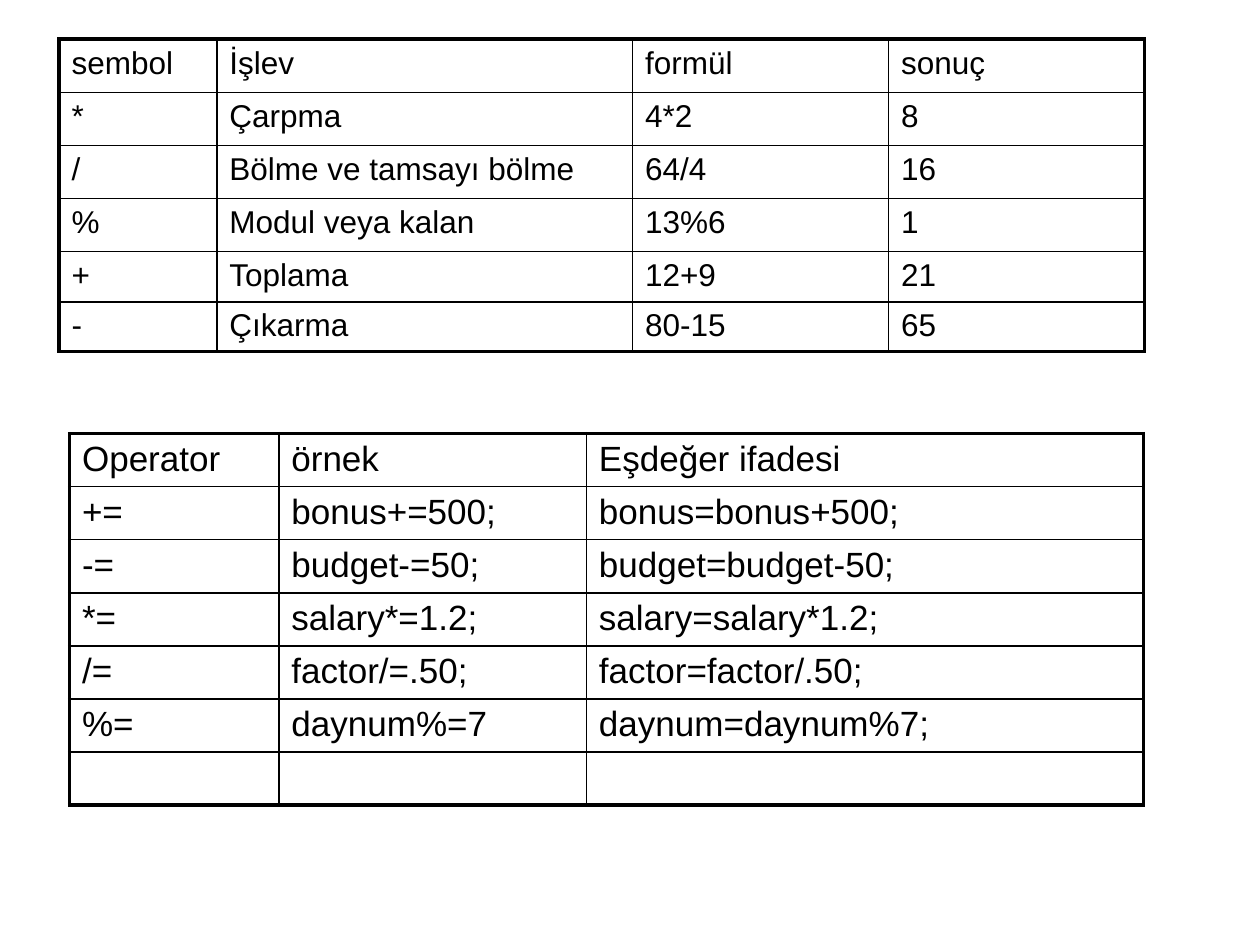
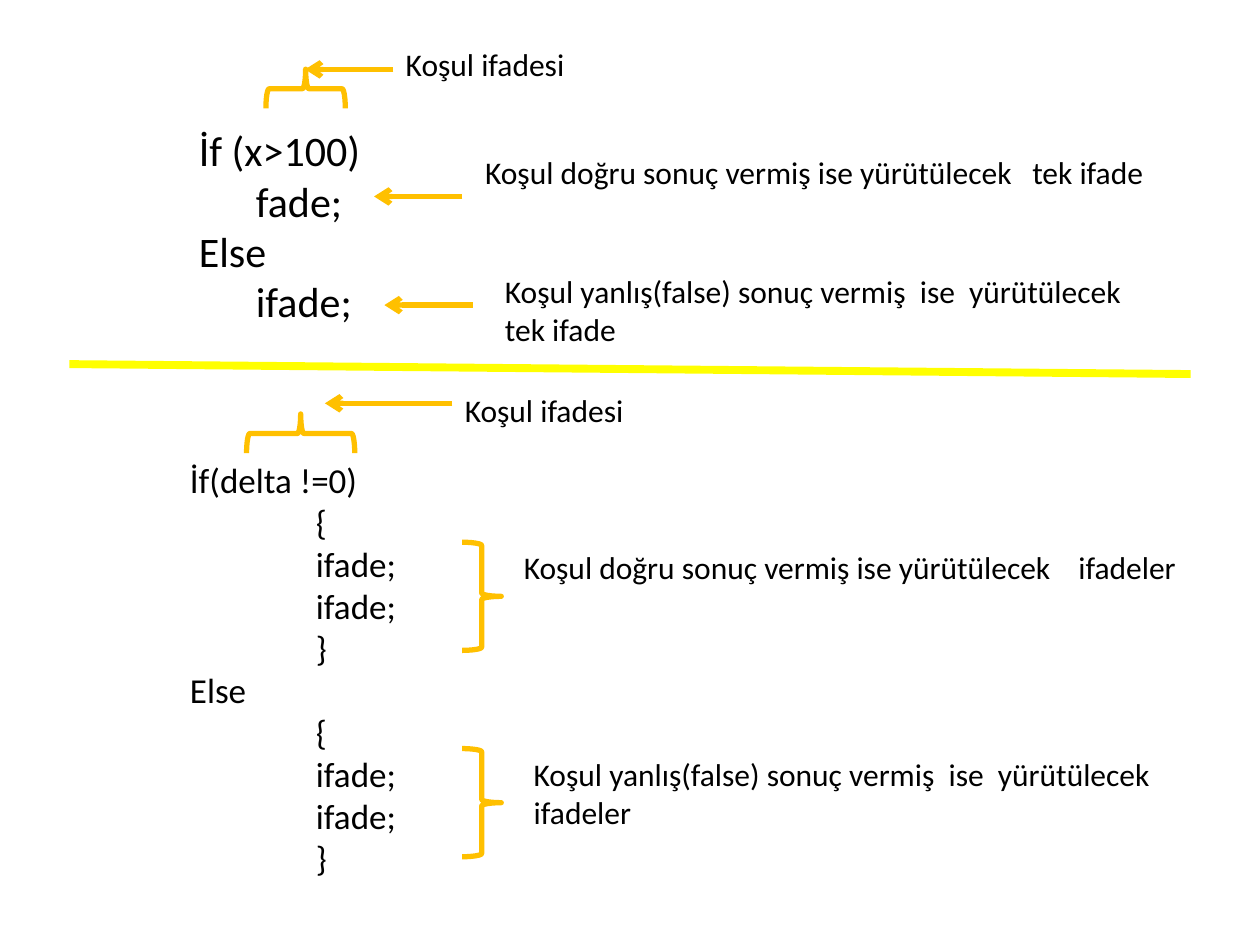
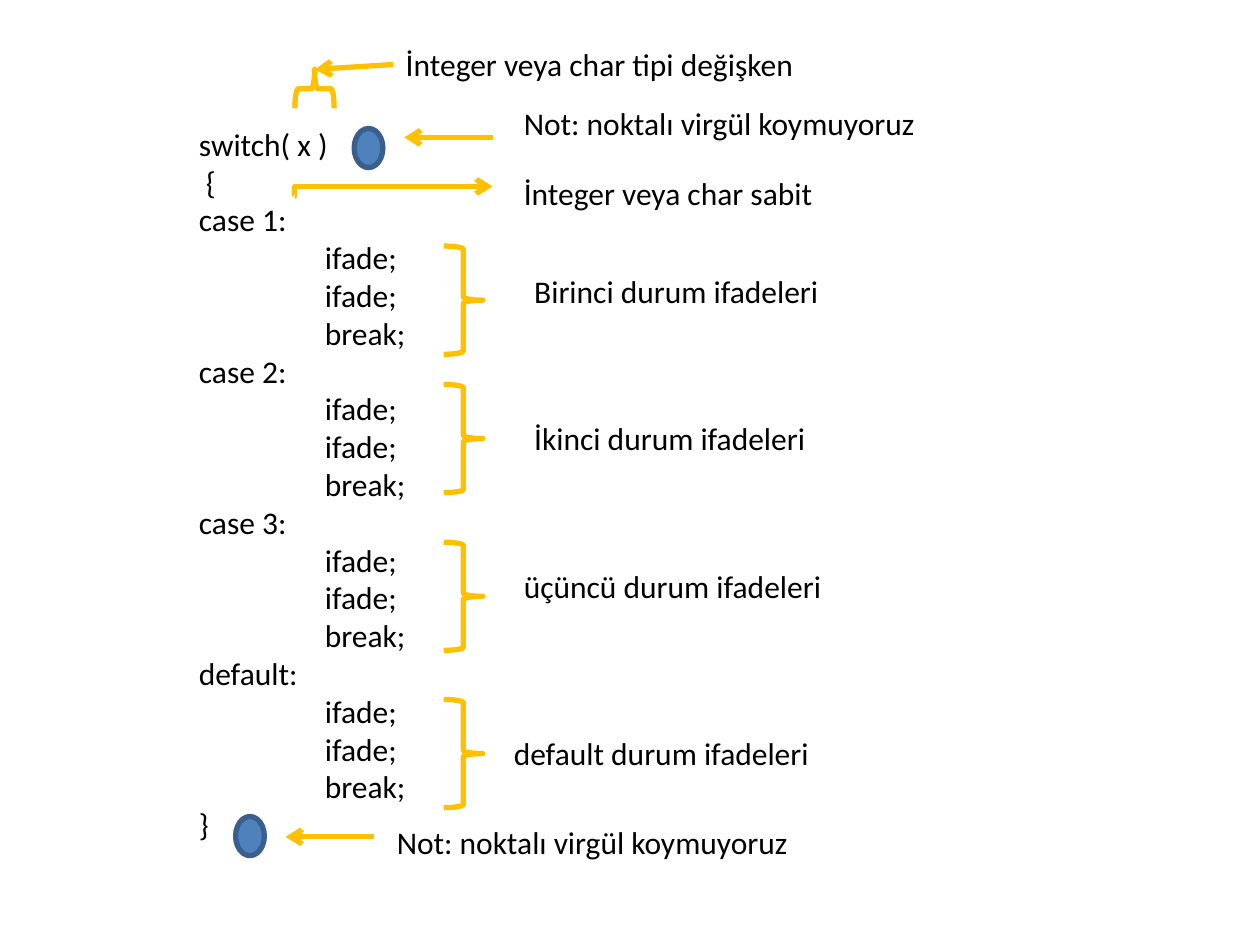
from lxml import etree
from pptx import Presentation
from pptx.dml.color import RGBColor
from pptx.enum.shapes import MSO_CONNECTOR, MSO_SHAPE
from pptx.oxml.ns import qn
from pptx.util import Cm, Pt

STRAIGHT, ELBOW = MSO_CONNECTOR.STRAIGHT, MSO_CONNECTOR.ELBOW
BRACE, OVAL = MSO_SHAPE.LEFT_BRACE, MSO_SHAPE.OVAL

BLACK, WHITE = "000000", "FFFFFF"
ORANGE, YELLOW = "FFC000", "FFFF00"
BLUE, DARK_BLUE = "4F81BD", "3A5F8C"
TABLE_FONT, TEXT_FONT = "Arial", "Calibri"
THIN, THICK = 1, 2.25
BRACE_DEPTH = 0.79
BRACE_LENGTH = 2.18
ARROW_LENGTH = 1.78
CODE_TAB = 2.54
FACING_UP, FACING_RIGHT = 90, 180

ARITHMETIC = [
    ["sembol", "İşlev", "formül", "sonuç"],
    ["*", "Çarpma", "4*2", "8"],
    ["/", "Bölme ve tamsayı bölme", "64/4", "16"],
    ["%", "Modul veya kalan", "13%6", "1"],
    ["+", "Toplama", "12+9", "21"],
    ["-", "Çıkarma", "80-15", "65"],
]
ASSIGNMENT = [
    ["Operator", "örnek", "Eşdeğer ifadesi"],
    ["+=", "bonus+=500;", "bonus=bonus+500;"],
    ["-=", "budget-=50;", "budget=budget-50;"],
    ["*=", "salary*=1.2;", "salary=salary*1.2;"],
    ["/=", "factor/=.50;", "factor=factor/.50;"],
    ["%=", "daynum%=7", "daynum=daynum%7;"],
    ["", "", ""],
]
SINGLE_IF = ["İf (x>100)", "      fade;", "Else", "      ifade;"]
BLOCK = ["\t{", "\tifade;", "\tifade;", "\t}"]
BLOCK_IF = ["İf(delta !=0)", *BLOCK, "Else", *BLOCK]
CASE_BODY = ["\tifade;", "\tifade;", "\tbreak;"]
SWITCH = ["switch( x )", " {"]
for heading in ("case 1:", "case 2:", "case 3:", "default:"):
    SWITCH += [heading, *CASE_BODY]
SWITCH.append("}")


def color(value):
    """Turn a hex string into a colour."""
    return RGBColor.from_string(value)


def write(para, text, size, font):
    """Add one run of black text to a paragraph."""
    span = para.add_run()
    span.text = text
    span.font.size = Pt(size)
    span.font.name = font
    span.font.color.rgb = color(BLACK)


def add_text(page, left, top, width, lines, size=18, tab=CODE_TAB):
    """Place a wrapped text box with one paragraph for each line."""
    box = page.shapes.add_textbox(Cm(left), Cm(top), Cm(width), Cm(1.02))
    frame = box.text_frame
    frame.word_wrap = True
    for index, line in enumerate(lines):
        para = frame.add_paragraph() if index else frame.paragraphs[0]
        if "\t" in line:
            stops = etree.SubElement(para._p.get_or_add_pPr(), qn("a:tabLst"))
            etree.SubElement(stops, qn("a:tab"), pos=str(Cm(tab)), algn="l")
        write(para, line, size, TEXT_FONT)


def add_line(page, start, end, tint=ORANGE, weight=3, arrow=True, kind=STRAIGHT):
    """Draw a connector between two points, with an arrowhead if wanted."""
    line = page.shapes.add_connector(kind, *map(Cm, (*start, *end)))
    line.line.color.rgb = color(tint)
    line.line.width = Pt(weight)
    if arrow:
        etree.SubElement(line.line._get_or_add_ln(), qn("a:tailEnd"), type="arrow")
    etree.SubElement(line._element.spPr, qn("a:effectLst"))
    return line


def add_pointer(page, left, top, length=ARROW_LENGTH):
    """Draw a level arrow that starts at a point and runs to the left."""
    add_line(page, (left, top), (left - length, top))


def add_brace(page, center_x, center_y, rotation, length=BRACE_LENGTH):
    """Draw a turned curly brace around its centre."""
    brace = page.shapes.add_shape(
        BRACE, Cm(center_x - BRACE_DEPTH / 2), Cm(center_y - length / 2),
        Cm(BRACE_DEPTH), Cm(length))
    brace.rotation = rotation
    brace.shadow.inherit = False
    brace.fill.background()
    brace.line.color.rgb = color(ORANGE)
    brace.line.width = Pt(3)


def add_marker(page, left, top):
    """Draw the blue oval that marks a missing semicolon."""
    oval = page.shapes.add_shape(OVAL, Cm(left), Cm(top), Cm(0.58), Cm(0.79))
    oval.shadow.inherit = False
    oval.fill.solid()
    oval.fill.fore_color.rgb = color(BLUE)
    oval.line.color.rgb = color(DARK_BLUE)
    oval.line.width = Pt(3)


def set_borders(cell, weights):
    """Give the four sides of a cell black lines of the given weights."""
    properties = cell._tc.get_or_add_tcPr()
    for index, (side, weight) in enumerate(weights.items()):
        line = etree.Element(qn(f"a:ln{side}"), w=str(Pt(weight)))
        fill = etree.SubElement(line, qn("a:solidFill"))
        etree.SubElement(fill, qn("a:srgbClr"), val=BLACK)
        properties.insert(index, line)


def add_grid(page, left, top, widths, heights, rows, size):
    """Build a table with thin inner lines and a thick frame."""
    grid = page.shapes.add_table(
        len(rows), len(widths), Cm(left), Cm(top), Cm(sum(widths)), Cm(sum(heights))).table
    grid.first_row = grid.horz_banding = False
    for column, width in zip(grid.columns, widths):
        column.width = Cm(width)
    for y, (row, height) in enumerate(zip(rows, heights)):
        grid.rows[y].height = Cm(height)
        for x, text in enumerate(row):
            cell = grid.cell(y, x)
            cell.fill.solid()
            cell.fill.fore_color.rgb = color(WHITE)
            outer = {"L": x == 0, "R": x == len(row) - 1,
                     "T": y == 0, "B": y == len(rows) - 1}
            set_borders(cell, {side: THICK if edge else THIN for side, edge in outer.items()})
            if text:
                write(cell.text_frame.paragraphs[0], text, size, TABLE_FONT)


def add_single_if(page, left, top):
    """Explain an if statement with single statements."""
    add_text(page, left, top + 1.6, 10.92, SINGLE_IF, 24)
    add_text(page, left + 4.17, top, 9.73, ["Koşul ifadesi"])
    add_brace(page, left + 2.4, top + 1, FACING_UP, 1.6)
    add_text(page, left + 5.77, top + 2.18, 14.3,
             ["Koşul doğru sonuç vermiş ise yürütülecek\ttek ifade"], tab=11.03)
    add_text(page, left + 6.17, top + 4.57, 13.28,
             ["Koşul yanlış(false) sonuç vermiş  ise  yürütülecek tek ifade"])
    for x, y in [(4.17, 0.61), (5.56, 3.17), (5.77, 5.36)]:
        add_pointer(page, left + x, top + y)


def add_block_if(page, left, top):
    """Explain an if statement with blocks of statements."""
    add_text(page, left, top + 1.37, 7.54, BLOCK_IF, 20)
    add_text(page, left + 5.54, top, 9.73, ["Koşul ifadesi"])
    add_pointer(page, left + 5.54, top + 0.38, 2.57)
    add_brace(page, left + 2.48, top + 0.99, FACING_UP)
    for y in (4.27, 8.43):
        add_brace(page, left + 6.13, top + y, FACING_RIGHT)
    add_text(page, left + 6.73, top + 3.18, 14.3,
             ["Koşul doğru sonuç vermiş ise yürütülecek\tifadeler"], tab=11.18)
    add_text(page, left + 6.93, top + 7.34, 13.28,
             ["Koşul yanlış(false) sonuç vermiş  ise  yürütülecek ifadeler"])


def add_switch(page, left, top):
    """Explain a switch statement with its cases."""
    add_text(page, left, top + 1.6, 10.92, SWITCH)
    notes = [
        (4.17, 0, "İnteger veya char tipi değişken"),
        (6.55, 1.19, "Not: noktalı virgül koymuyoruz"),
        (6.55, 2.59, "İnteger veya char sabit"),
        (6.76, 4.57, "Birinci durum ifadeleri"),
        (6.76, 7.54, "İkinci durum ifadeleri"),
        (6.55, 10.52, "üçüncü durum ifadeleri"),
        (6.35, 13.89, "default durum ifadeleri"),
        (3.99, 15.67, "Not: noktalı virgül koymuyoruz"),
    ]
    for x, y, note in notes:
        add_text(page, left + x, top + y, 9.73, [note])
    add_brace(page, left + 2.58, top + 1, FACING_UP, BRACE_DEPTH)
    for y in (5.26, 8.05, 11.23, 14.4):
        add_brace(page, left + 5.58, top + y, FACING_RIGHT)
    for x, y in [(3.38, 1.8), (0.99, 15.67)]:
        add_marker(page, left + x, top + y)
    add_line(page, (left + 4.17, top + 0.51), (left + 2.59, top + 0.61))
    for x, y in [(6.17, 1.98), (3.78, 16.08)]:
        add_pointer(page, left + x, top + y)
    bend = add_line(page, (left + 2.18, top + 3.17), (left + 6.17, top + 2.97), kind=ELBOW)
    guides = bend._element.spPr.find(qn("a:prstGeom")).find(qn("a:avLst"))
    etree.SubElement(guides, qn("a:gd"), name="adj1", fmla="val 100")


def main():
    """Build the three slides and save the deck."""
    deck = Presentation()
    deck.slide_width, deck.slide_height = Cm(25.4), Cm(19.05)
    operators, conditions, selection = (
        deck.slides.add_slide(deck.slide_layouts[6]) for _ in range(3))

    add_grid(operators, 1.19, 0.79, [3.18, 8.38, 5.16, 5.16],
             [1.07] * 4 + [1.02, 0.99], ARITHMETIC, 18)
    add_grid(operators, 1.4, 8.74, [4.22, 6.2, 11.23], [1.07] * 7, ASSIGNMENT, 20)

    add_single_if(conditions, 3.76, 0.79)
    add_block_if(conditions, 3.58, 7.75)
    add_line(conditions, (1.4, 7.34), (24, 7.54), YELLOW, 4.5, arrow=False)

    add_switch(selection, 3.76, 0.79)
    deck.save("out.pptx")


if __name__ == "__main__":
    main()
